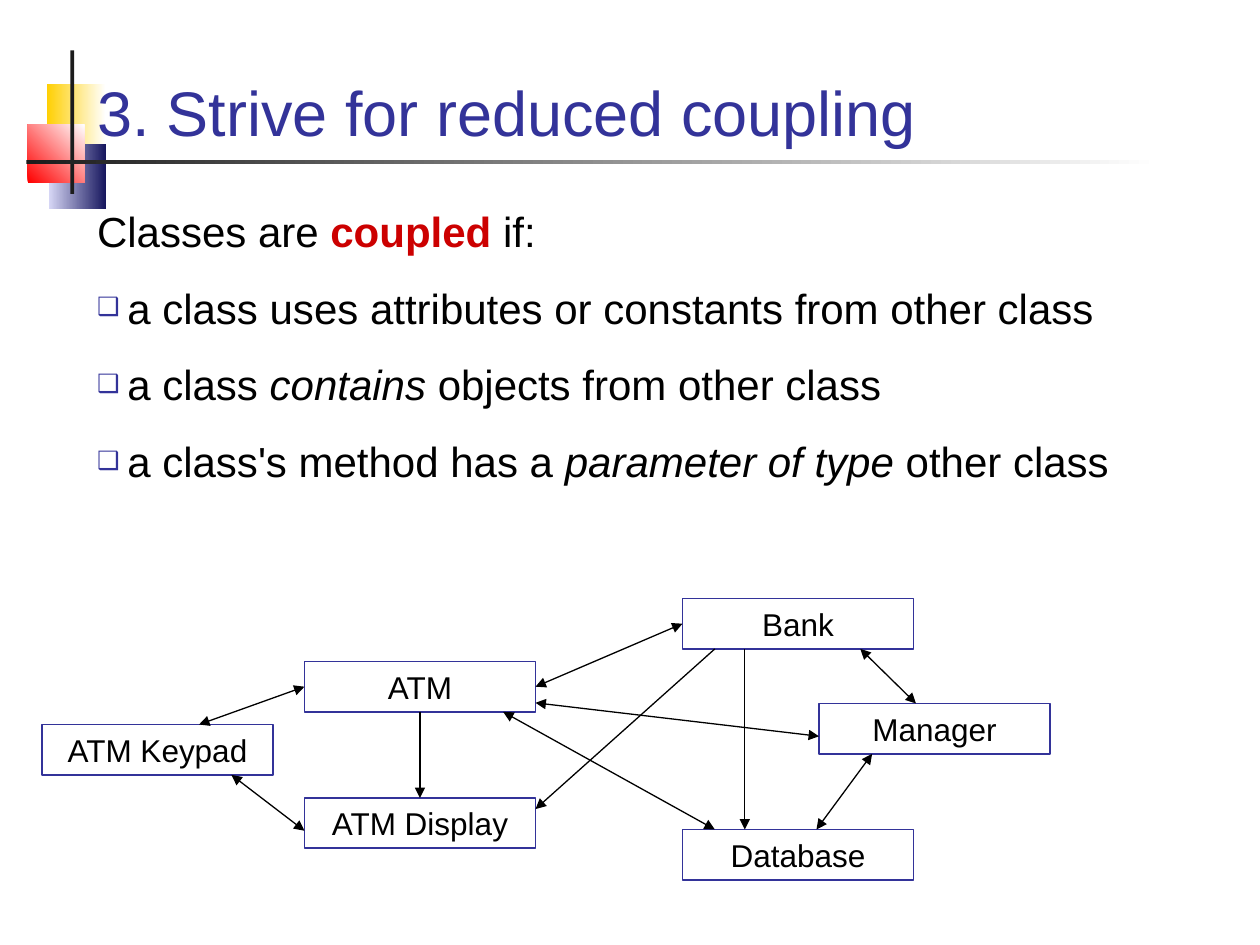
from pptx import Presentation
from pptx.dml.color import RGBColor
from pptx.enum.shapes import MSO_CONNECTOR, MSO_SHAPE
from pptx.enum.text import MSO_ANCHOR, MSO_AUTO_SIZE, PP_ALIGN
from pptx.oxml.ns import qn
from pptx.util import Inches, Pt
from lxml.etree import SubElement

COLORS = {
    "text": "000000", "accent": "333399", "key": "CC0000", "dark": "1C1C1C",
    "white": "FFFFFF", "yellow": "FFCF01", "red": "FF0000",
    "navy": "17175E", "lilac": "D6D6F5",
}
FONT = "Arial"
UNIT = Inches(1) / 12  # diagram grid: 120 columns by 90 rows
BOX_COLS, BOX_ROWS = 22, 4.8
TOP, LEFT, BOTTOM, RIGHT = range(4)

# Column and row of each class box
CLASSES = {
    "Bank": (65, 57), "ATM": (29, 63), "Database": (65, 79),
    "ATM Display": (29, 76), "Manager": (78, 67), "ATM Keypad": (4, 69),
}

# Start and end as (class, side, share along the side), then two-way or not
COUPLINGS = [
    (("ATM", RIGHT, 0.5), ("Bank", LEFT, 0.5), True),
    (("Manager", LEFT, 0.65), ("ATM", RIGHT, 0.82), True),
    (("Bank", BOTTOM, 0.27), ("Database", TOP, 0.27), False),
    (("ATM", BOTTOM, 0.86), ("Database", TOP, 0.14), True),
    (("ATM", BOTTOM, 0.5), ("ATM Display", TOP, 0.5), False),
    (("Bank", BOTTOM, 0.14), ("ATM Display", RIGHT, 0.22), False),
    (("Manager", BOTTOM, 0.23), ("Database", TOP, 0.58), True),
    (("Manager", TOP, 0.42), ("Bank", BOTTOM, 0.77), True),
    (("ATM Display", LEFT, 0.65), ("ATM Keypad", BOTTOM, 0.82), True),
    (("ATM", LEFT, 0.5), ("ATM Keypad", TOP, 0.68), True),
]

# Left, top, width, height, start colour, end colour, gradient angle
ORNAMENTS = [
    (0.37, 0.67, 0.47, 0.52, "yellow", "white", 0),
    (0.39, 1.14, 0.45, 0.52, "lilac", "navy", 0),
    (0.22, 0.99, 0.45, 0.46, "red", "white", 45),
    (0.56, 0.4, 0.03, 1.14, "dark", "dark", 0),
    (0.21, 1.27, 8.99, 0.03, "dark", "white", 0),
]

# Each line is a list of (text, style)
INTRO = [("Classes are ", ""), ("coupled", "key"), (" if:", "")]
BULLETS = [
    [("a class uses attributes or constants from other class", "")],
    [("a class ", ""), ("contains", "italic"), (" objects from other class", "")],
    [("a class's method has a ", ""), ("parameter of type", "italic"),
     (" other class", "")],
]


def rgb(name):
    return RGBColor.from_string(COLORS[name])


def add_run(p, text, size, color="text"):
    r = p.add_run()
    r.text = text
    r.font.name, r.font.size = FONT, Pt(size)
    r.font.color.rgb = rgb(color)
    return r


def add_ornament(s, left, top, width, height, start, end, angle):
    sp = s.shapes.add_shape(MSO_SHAPE.RECTANGLE, Inches(left), Inches(top),
                            Inches(width), Inches(height))
    sp.shadow.inherit = False
    sp.line.fill.background()
    if start == end:
        sp.fill.solid()
        sp.fill.fore_color.rgb = rgb(start)
        return
    sp.fill.gradient()
    sp.fill.gradient_angle = angle
    for stop, color in zip(sp.fill.gradient_stops, (start, end)):
        stop.color.rgb = rgb(color)


def place_text(s, ph, top, height, anchor):
    """Move a placeholder in front of the ornaments and return its text frame."""
    s.shapes.element.append(ph.element)
    ph.left, ph.top = Inches(0.67), Inches(top)
    ph.width, ph.height = Inches(8.66), Inches(height)
    tf = ph.text_frame
    tf.auto_size = MSO_AUTO_SIZE.NONE
    tf.vertical_anchor = anchor
    return tf


def set_bullet(p, char=None):
    pPr = p._p.get_or_add_pPr()
    pPr.set("marL", str(Inches(0.24)))
    pPr.set("indent", str(-Inches(0.24)))
    if char is None:
        SubElement(pPr, qn("a:buNone"))
        return
    color = SubElement(pPr, qn("a:buClr"))
    SubElement(color, qn("a:srgbClr"), val=COLORS["accent"])
    SubElement(pPr, qn("a:buSzPct"), val="60000")
    SubElement(pPr, qn("a:buChar"), char=char)


def fill_body(tf):
    for i, line in enumerate([INTRO] + BULLETS):
        p = tf.add_paragraph() if i else tf.paragraphs[0]
        set_bullet(p, "❑" if i else None)
        p.space_before = Pt(15 if i else 0)
        for text, style in line:
            r = add_run(p, text, 24, "key" if style == "key" else "text")
            if style == "key":
                r.font.bold = True
            elif style == "italic":
                r.font.italic = True


def add_class(s, name, col, row):
    sp = s.shapes.add_shape(MSO_SHAPE.RECTANGLE, round(col * UNIT), round(row * UNIT),
                            round(BOX_COLS * UNIT), round(BOX_ROWS * UNIT))
    sp.shadow.inherit = False
    sp.fill.background()
    sp.line.color.rgb, sp.line.width = rgb("accent"), Pt(1)
    p = sp.text_frame.paragraphs[0]
    p.alignment = PP_ALIGN.CENTER
    add_run(p, name, 18)
    return sp


def side_point(box, side, share):
    if side in (TOP, BOTTOM):
        return (round(box.left + share * box.width),
                box.top + (box.height if side == BOTTOM else 0))
    return (box.left + (box.width if side == RIGHT else 0),
            round(box.top + share * box.height))


def add_coupling(s, boxes, start, end, two_way):
    ends = [(boxes[name], side, share) for name, side, share in (start, end)]
    line = s.shapes.add_connector(MSO_CONNECTOR.STRAIGHT,
                                  *side_point(*ends[0]), *side_point(*ends[1]))
    for connect, (box, side, share) in zip((line.begin_connect, line.end_connect), ends):
        if share == 0.5:
            connect(box, side)
    line.line.color.rgb, line.line.width = rgb("text"), Pt(0.75)
    ln = line.line._get_or_add_ln()
    for tag in (["a:headEnd"] if two_way else []) + ["a:tailEnd"]:
        SubElement(ln, qn(tag), type="triangle")
    SubElement(line._element.spPr, qn("a:effectLst"))


def main():
    prs = Presentation()
    prs.slide_width, prs.slide_height = Inches(10), Inches(7.5)
    s = prs.slides.add_slide(prs.slide_layouts[1])

    # Corner ornament and title rule
    for ornament in ORNAMENTS:
        add_ornament(s, *ornament)

    # Title and list
    p = place_text(s, s.shapes.title, 0.28, 0.95, MSO_ANCHOR.BOTTOM).paragraphs[0]
    p.alignment = PP_ALIGN.LEFT
    add_run(p, "3. Strive for reduced coupling", 36, "accent")
    fill_body(place_text(s, s.placeholders[1], 1.58, 3.17, MSO_ANCHOR.TOP))

    # Class diagram
    boxes = {name: add_class(s, name, *cell) for name, cell in CLASSES.items()}
    for coupling in COUPLINGS:
        add_coupling(s, boxes, *coupling)

    prs.save("out.pptx")


if __name__ == "__main__":
    main()
